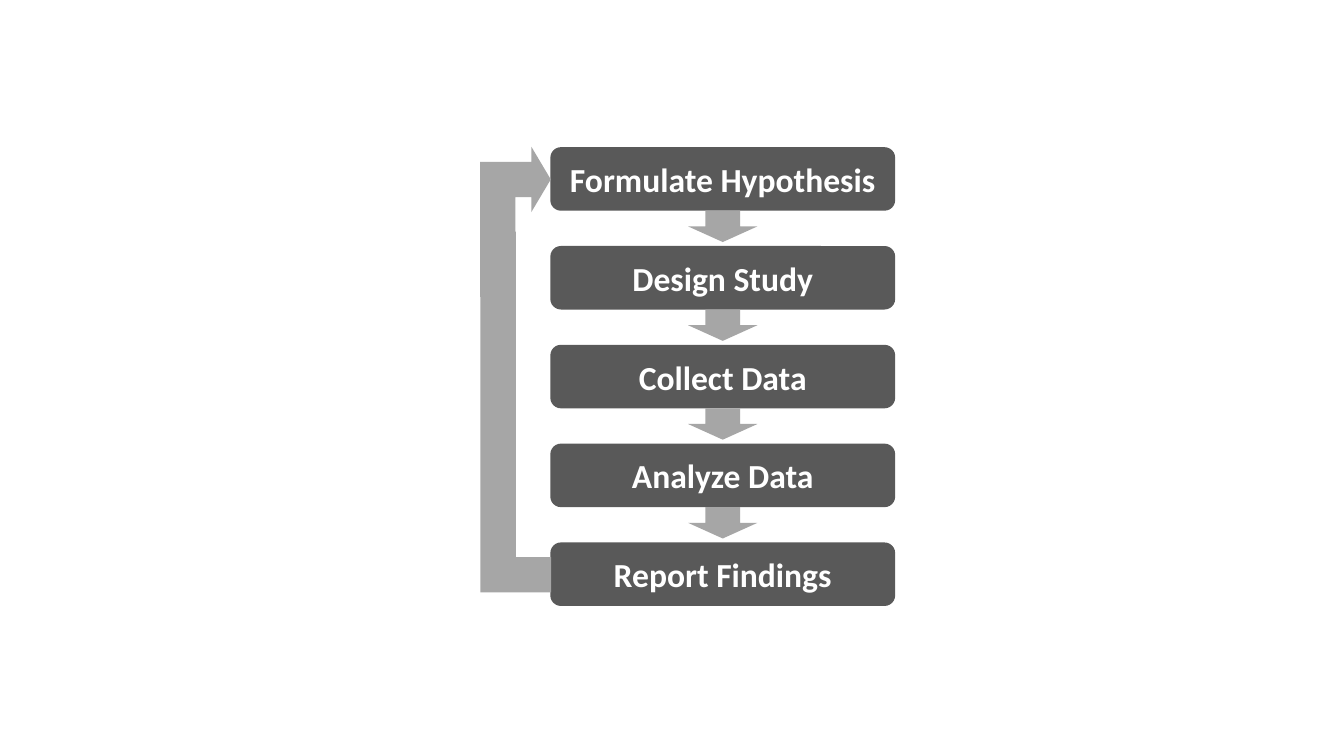
from pptx import Presentation
from pptx import util as u
from pptx.dml.color import RGBColor
from pptx.enum import shapes, text

DARK_GREY = RGBColor(0x59, 0x59, 0x59)
LIGHT_GREY = RGBColor(0xA6, 0xA6, 0xA6)
WHITE = RGBColor(0xFF, 0xFF, 0xFF)
SHAPE = shapes.MSO_SHAPE

STEPS = ["Formulate Hypothesis", "Design Study", "Collect Data",
         "Analyze Data", "Report Findings"]
STEP_LEFT, STEP_TOP = 13.87, 3.71
STEP_WIDTH, STEP_HEIGHT = 8.69, 1.6
STEP_PITCH = 2.49
ARROW_WIDTH, ARROW_HEIGHT = 1.75, 0.79
RETURN_WIDTH = 1.78


def add_block(page, kind, left, top, width, height, colour):
    """Add a flat preset shape without outline; lengths in centimetres."""
    block = page.shapes.add_shape(
        kind, u.Cm(left), u.Cm(top), u.Cm(width), u.Cm(height))
    block.shadow.inherit = False
    block.fill.solid()
    block.fill.fore_color.rgb = colour
    block.line.fill.background()
    return block


def add_step(page, label, top):
    """Add one labelled step of the research cycle."""
    box = add_block(page, SHAPE.ROUNDED_RECTANGLE, STEP_LEFT, top,
                    STEP_WIDTH, STEP_HEIGHT, DARK_GREY)
    box.text_frame.vertical_anchor = text.MSO_ANCHOR.MIDDLE
    para = box.text_frame.paragraphs[0]
    para.alignment = text.PP_ALIGN.CENTER
    span = para.add_run()
    span.text = label
    span.font.name = "Calibri"
    span.font.size = u.Pt(24)
    span.font.bold = True
    span.font.color.rgb = WHITE


def add_down_arrow(page, top):
    """Add an arrow centred under a step."""
    left = STEP_LEFT + (STEP_WIDTH - ARROW_WIDTH) / 2
    add_block(page, SHAPE.DOWN_ARROW, left, top,
              ARROW_WIDTH, ARROW_HEIGHT, LIGHT_GREY)


def add_return_arrow(page):
    """Add the arrow leading from the last step back to the first."""
    add_block(page, SHAPE.CORNER, STEP_LEFT - RETURN_WIDTH + 0.02, 5.84,
              RETURN_WIDTH, 9.09, LIGHT_GREY)
    head = add_block(page, SHAPE.BENT_UP_ARROW, 11.1, 4.7,
                     3.78, RETURN_WIDTH, LIGHT_GREY)
    for index, value in enumerate((0.5, 0.462, 0.275)):
        head.adjustments[index] = value
    head.rotation = 270
    head.element.spPr.get_or_add_xfrm().set("flipV", "1")


def main():
    """Build the research cycle slide."""
    deck = Presentation()
    deck.slide_width, deck.slide_height = u.Cm(33.87), u.Cm(19.05)
    page = deck.slides.add_slide(deck.slide_layouts[6])
    tops = [STEP_TOP + STEP_PITCH * row for row in range(len(STEPS))]
    for label, top in zip(STEPS, tops):
        add_step(page, label, top)
    for top in tops[:-1]:
        add_down_arrow(page, top + STEP_HEIGHT)
    add_return_arrow(page)
    deck.save("out.pptx")


main()
